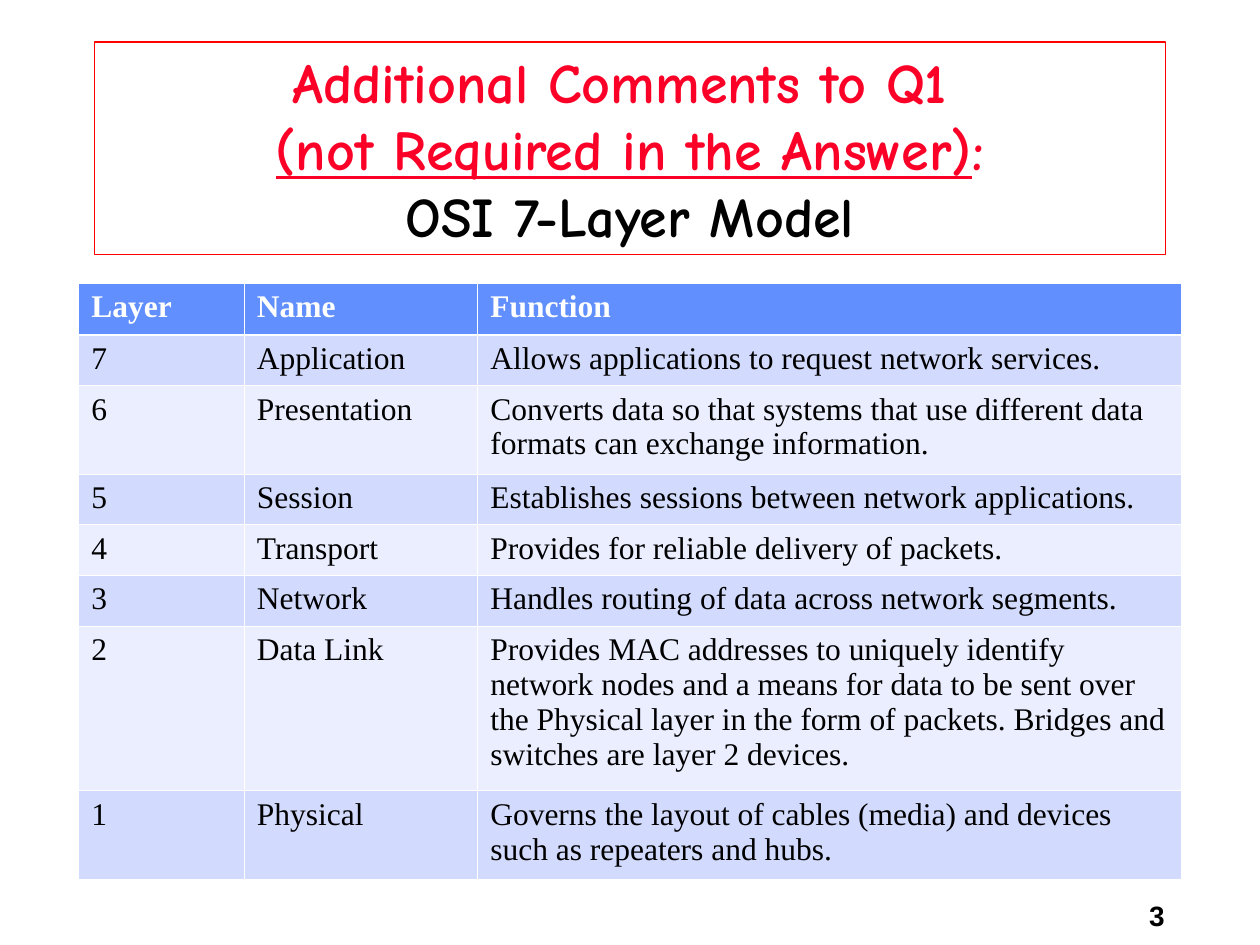
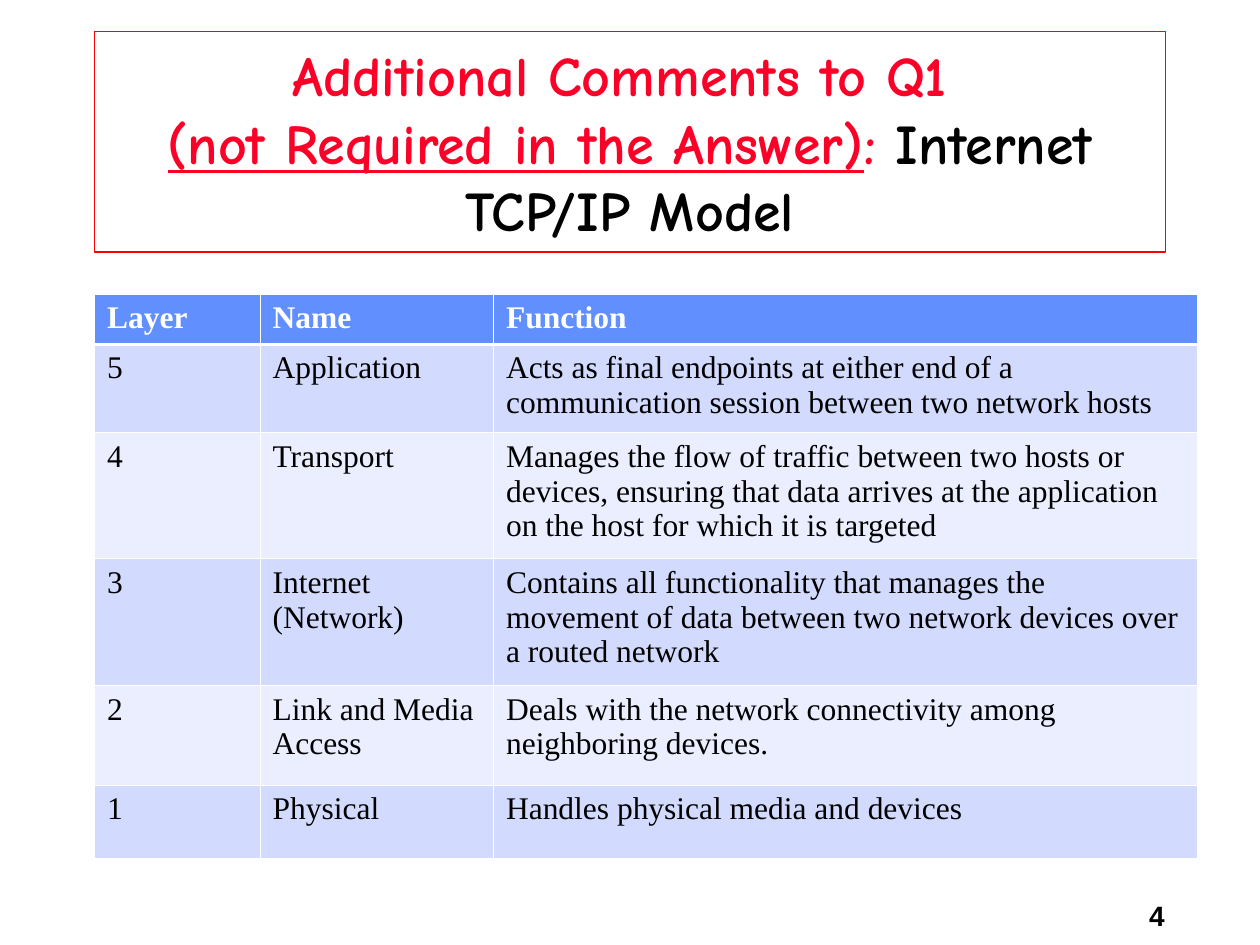
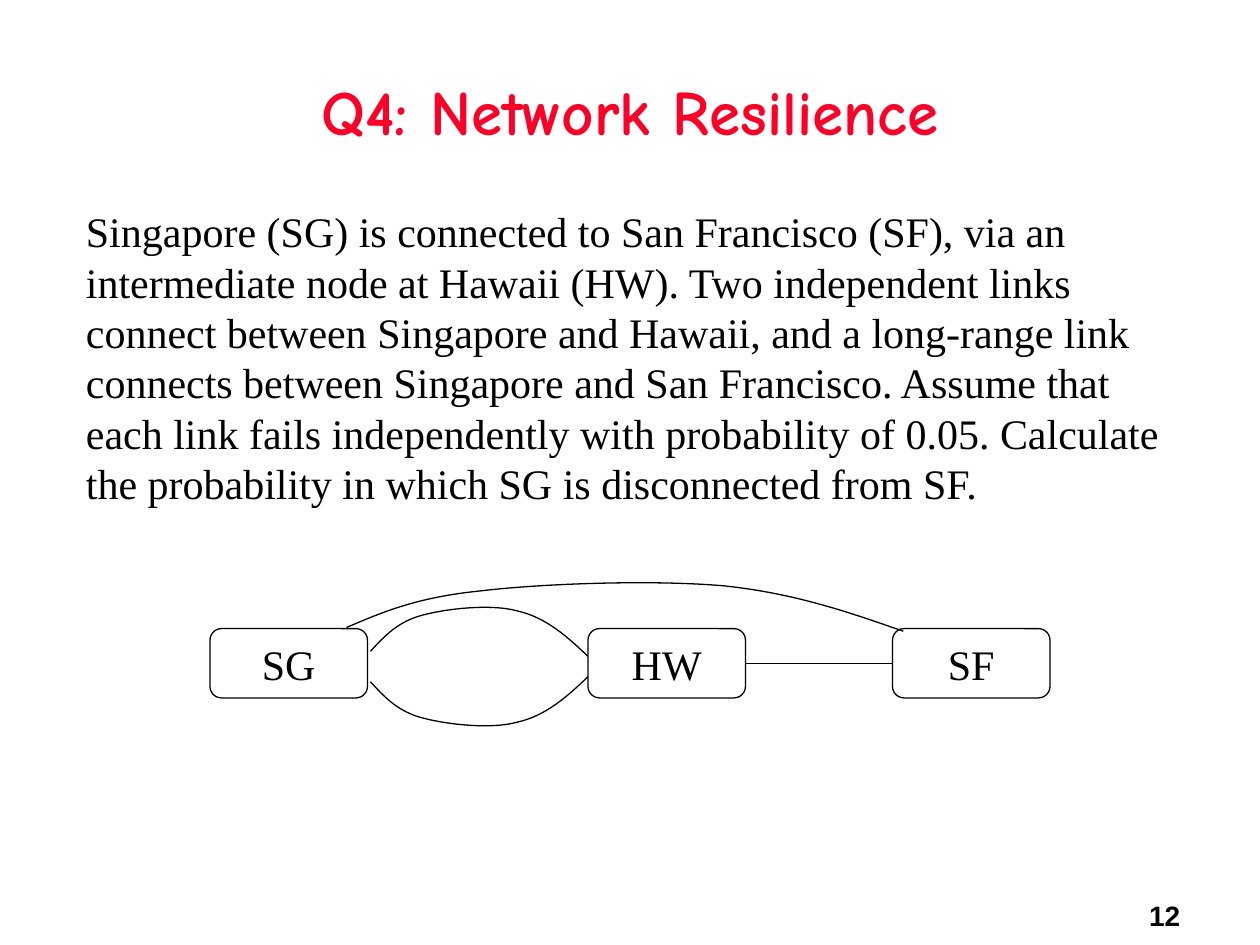
from lxml import etree
from pptx import Presentation
from pptx.dml.color import RGBColor
from pptx.enum.shapes import MSO_CONNECTOR, MSO_SHAPE
from pptx.enum.text import MSO_ANCHOR, PP_ALIGN
from pptx.oxml.ns import qn
from pptx.util import Pt

CENTER, LEFT = PP_ALIGN.CENTER, PP_ALIGN.LEFT
TOP, MIDDLE = MSO_ANCHOR.TOP, MSO_ANCHOR.MIDDLE
RECT, ROUNDED = MSO_SHAPE.RECTANGLE, MSO_SHAPE.ROUNDED_RECTANGLE
STRAIGHT = MSO_CONNECTOR.STRAIGHT

BLACK = RGBColor(0x00, 0x00, 0x00)
WHITE = RGBColor(0xFF, 0xFF, 0xFF)
TITLE_RED = RGBColor(0xFC, 0x01, 0x28)
FRAME_RED = RGBColor(0xFF, 0x00, 0x00)
HEADER_BLUE = RGBColor(0x61, 0x8F, 0xFD)
BANDS = (RGBColor(0xD2, 0xDB, 0xFE), RGBColor(0xEA, 0xEE, 0xFF))

TITLE_FONT, BODY_FONT, NUMBER_FONT = "Comic Neue", "Times New Roman", "Arial"
COLUMN_WIDTHS = (94.6, 133.4, 402)
HEADINGS = ("Layer", "Name", "Function")
THIN, THICK = 0.45, 1.47

OSI_ROWS = (
    (29.4, *HEADINGS),
    (29, "7", "Application", "Allows applications to request network services."),
    (50.5, "6", "Presentation", "Converts data so that systems that use different data "
     "formats can exchange information."),
    (29, "5", "Session", "Establishes sessions between network applications."),
    (29, "4", "Transport", "Provides for reliable delivery of packets."),
    (29, "3", "Network", "Handles routing of data across network segments."),
    (94, "2", "Data Link", "Provides MAC addresses to uniquely identify network nodes and "
     "a means for data to be sent over the Physical layer in the form of packets. "
     "Bridges and switches are layer 2 devices."),
    (50.5, "1", "Physical", "Governs the layout of cables (media) and devices such as "
     "repeaters and hubs."),
)
INTERNET_ROWS = (
    (28.6, *HEADINGS),
    (50.4, "5", "Application", "Acts as final endpoints at either end of a communication "
     "session between two network hosts"),
    (72, "4", "Transport", "Manages the flow of traffic between two hosts or devices, "
     "ensuring that data arrives at the application on the host for which it is targeted"),
    (72.5, "3", "Internet (Network)", "Contains all functionality that manages the movement "
     "of data between two network devices over a routed network"),
    (57, "2", "Link and Media Access", "Deals with the network connectivity among "
     "neighboring devices."),
    (42, "1", "Physical", "Handles physical media and devices"),
)
RESILIENCE_QUESTION = (
    "Singapore (SG) is connected to San Francisco (SF), via an intermediate node at Hawaii "
    "(HW). Two independent links connect between Singapore and Hawaii, and a long-range link "
    "connects between Singapore and San Francisco. Assume that each link fails independently "
    "with probability of 0.05. Calculate the probability in which SG is disconnected from SF."
)

NODES = (("SG", 0), ("HW", 216), ("SF", 390))
NODE_TOP, NODE_WIDTH, NODE_HEIGHT = 26.6, 90, 39.6
LOOP_AXIS = 48.3
UPPER_LOOP = (
    (91.7, 39.6), (99.6, 31), (107.5, 22.4), (121.9, 18.8), (135.6, 15.2),
    (160.8, 12.3), (175.9, 16.6), (191.8, 20.2), (204, 31), (216, 42.5),
)
LOWER_LOOP = tuple((x, 2 * LOOP_AXIS - y) for x, y in UPPER_LOOP)
LONG_RANGE = (
    (78, 26), (98.2, 17.3), (118.3, 8.7), (154.3, 5.1), (190.3, 0.8),
    (253.7, -1.4), (294, 2.2), (334.3, 6.5), (365.3, 17.3), (396.2, 28.1),
)


def add_run(paragraph, text, size, font, color, bold=False, underline=False):
    """Append one formatted run."""
    run = paragraph.add_run()
    run.text = text
    run.font.size, run.font.name = Pt(size), font
    run.font.bold, run.font.underline = bold, underline
    run.font.color.rgb = color


def set_paragraph(frame, align=LEFT, anchor=TOP, before=0):
    """Prepare the first paragraph of a wrapping frame and return it."""
    frame.word_wrap = True
    frame.vertical_anchor = anchor
    paragraph = frame.paragraphs[0]
    paragraph.alignment = align
    paragraph.space_before = Pt(before)
    return paragraph


def add_textbox(slide, box):
    """Add a text box at the given box in points."""
    return slide.shapes.add_textbox(*map(Pt, box))


def add_outline(slide, preset, box, color, weight):
    """Add an unfilled preset shape with a plain outline."""
    outline = slide.shapes.add_shape(preset, *map(Pt, box))
    outline.shadow.inherit = False
    outline.fill.background()
    outline.line.color.rgb = color
    outline.line.width = Pt(weight)
    return outline


def add_title(slide, box, lines, size, framed=False):
    """Add a centred title whose lines hold (text, colour, underline) pieces."""
    title = add_outline(slide, RECT, box, FRAME_RED, 1) if framed else add_textbox(slide, box)
    paragraph = set_paragraph(title.text_frame, CENTER, MIDDLE)
    for index, line in enumerate(lines):
        if index:
            paragraph.add_line_break()
        for text, color, underline in line:
            add_run(paragraph, text, size, TITLE_FONT, color, True, underline)


def add_page_number(slide, number):
    """Add the page number at the lower right."""
    page = add_textbox(slide, (649.5, 509.8, 70, 26))
    add_run(set_paragraph(page.text_frame), str(number), 16, NUMBER_FONT, BLACK, True)


def set_borders(cell, weights):
    """Draw white borders in the order left, right, top, bottom."""
    properties = cell._tc.get_or_add_tcPr()
    for side, weight in zip("LRTB", weights):
        border = etree.SubElement(properties, qn(f"a:ln{side}"), w=str(Pt(weight)))
        fill = etree.SubElement(border, qn("a:solidFill"))
        etree.SubElement(fill, qn("a:srgbClr"), val=str(WHITE))


def add_layer_table(slide, left, top, rows):
    """Add a banded table of network layers."""
    width, height = sum(COLUMN_WIDTHS), sum(row[0] for row in rows)
    table = slide.shapes.add_table(
        len(rows), len(HEADINGS), Pt(left), Pt(top), Pt(width), Pt(height)).table
    for column, column_width in zip(table.columns, COLUMN_WIDTHS):
        column.width = Pt(column_width)
    for r, (row_height, *texts) in enumerate(rows):
        table.rows[r].height = Pt(row_height)
        header = r == 0
        for c, text in enumerate(texts):
            cell = table.cell(r, c)
            set_borders(cell, (THIN, THIN, THICK if r == 1 else THIN, THICK if header else THIN))
            cell.fill.solid()
            cell.fill.fore_color.rgb = HEADER_BLUE if header else BANDS[(r - 1) % 2]
            paragraph = set_paragraph(cell.text_frame)
            add_run(paragraph, text, 18, BODY_FONT, WHITE if header else BLACK, header)


def add_curved_link(slide, left, top, controls):
    """Draw a chain of cubic curves relative to the diagram corner."""
    start, *rest = [(Pt(left + x), Pt(top + y)) for x, y in controls]
    builder = slide.shapes.build_freeform(*start)
    builder.add_line_segments(rest, close=False)
    link = builder.convert_to_shape()
    segments = list(link._element.iter(qn("a:lnTo")))
    for first in range(0, len(segments), 3):
        curve = etree.Element(qn("a:cubicBezTo"))
        segments[first].addprevious(curve)
        for segment in segments[first:first + 3]:
            curve.append(segment[0])
            segment.getparent().remove(segment)
    link.shadow.inherit = False
    link.fill.background()
    link.line.color.rgb = BLACK
    link.line.width = Pt(0.75)


def add_network(slide, left, top):
    """Draw the three nodes and the four links between them."""
    for label, offset in NODES:
        box = (left + offset, top + NODE_TOP, NODE_WIDTH, NODE_HEIGHT)
        node = add_outline(slide, ROUNDED, box, BLACK, 0.75)
        paragraph = set_paragraph(node.text_frame, CENTER, before=4.8)
        add_run(paragraph, label, 24, BODY_FONT, BLACK)
    middle = Pt(top + NODE_TOP + NODE_HEIGHT / 2)
    hawaii, san_francisco = NODES[1][1], NODES[2][1]
    direct = slide.shapes.add_connector(
        STRAIGHT, Pt(left + hawaii + NODE_WIDTH), middle, Pt(left + san_francisco), middle)
    direct.line.color.rgb = BLACK
    direct.line.width = Pt(0.75)
    etree.SubElement(direct._element.spPr, qn("a:effectLst"))
    for controls in (UPPER_LOOP, LOWER_LOOP, LONG_RANGE):
        add_curved_link(slide, left, top, controls)


def add_slide(deck, number):
    """Add a blank slide with its page number."""
    slide = deck.slides.add_slide(deck.slide_layouts[6])
    add_page_number(slide, number)
    return slide


def build_model_slide(deck, number, title_box, model_lines, table_place, rows):
    """Build a slide that comments on Q1 with a layer table."""
    slide = add_slide(deck, number)
    add_title(slide, title_box, [
        [("Additional Comments to Q1 ", TITLE_RED, False)],
        [("(not Required in the Answer)", TITLE_RED, True), *model_lines[0]],
        *model_lines[1:],
    ], 32, framed=True)
    add_layer_table(slide, *table_place, rows)


def build_resilience_slide(deck, number):
    """Build the network resilience question."""
    slide = add_slide(deck, number)
    add_title(slide, (54, 18, 612, 90), [[("Q4: Network Resilience", TITLE_RED, False)]], 36)
    question = add_textbox(slide, (42, 114, 636, 192))
    paragraph = set_paragraph(question.text_frame, before=2.5)
    add_run(paragraph, RESILIENCE_QUESTION, 24, BODY_FONT, BLACK)
    add_network(slide, 120, 332.6)


def main():
    """Build and save the deck."""
    deck = Presentation()
    deck.slide_width, deck.slide_height = Pt(720), Pt(540)
    build_model_slide(
        deck, 3, (54, 24, 612, 121.5),
        [[(":", TITLE_RED, False)], [("OSI 7-Layer Model", BLACK, False)]],
        (45, 162), OSI_ROWS)
    build_model_slide(
        deck, 4, (54, 18, 612, 126),
        [[(": ", TITLE_RED, False), ("Internet TCP/IP Model", BLACK, False)]],
        (54, 168), INTERNET_ROWS)
    build_resilience_slide(deck, 12)
    deck.save("out.pptx")


if __name__ == "__main__":
    main()
